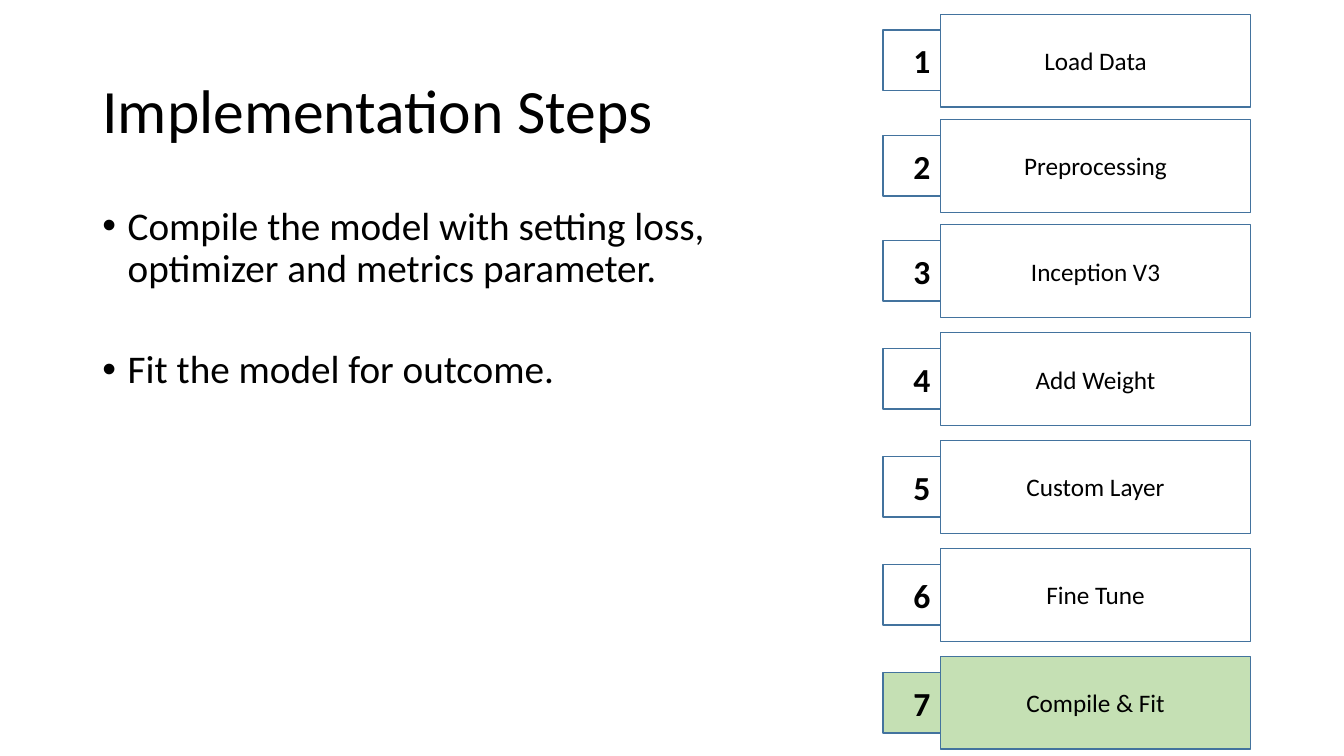
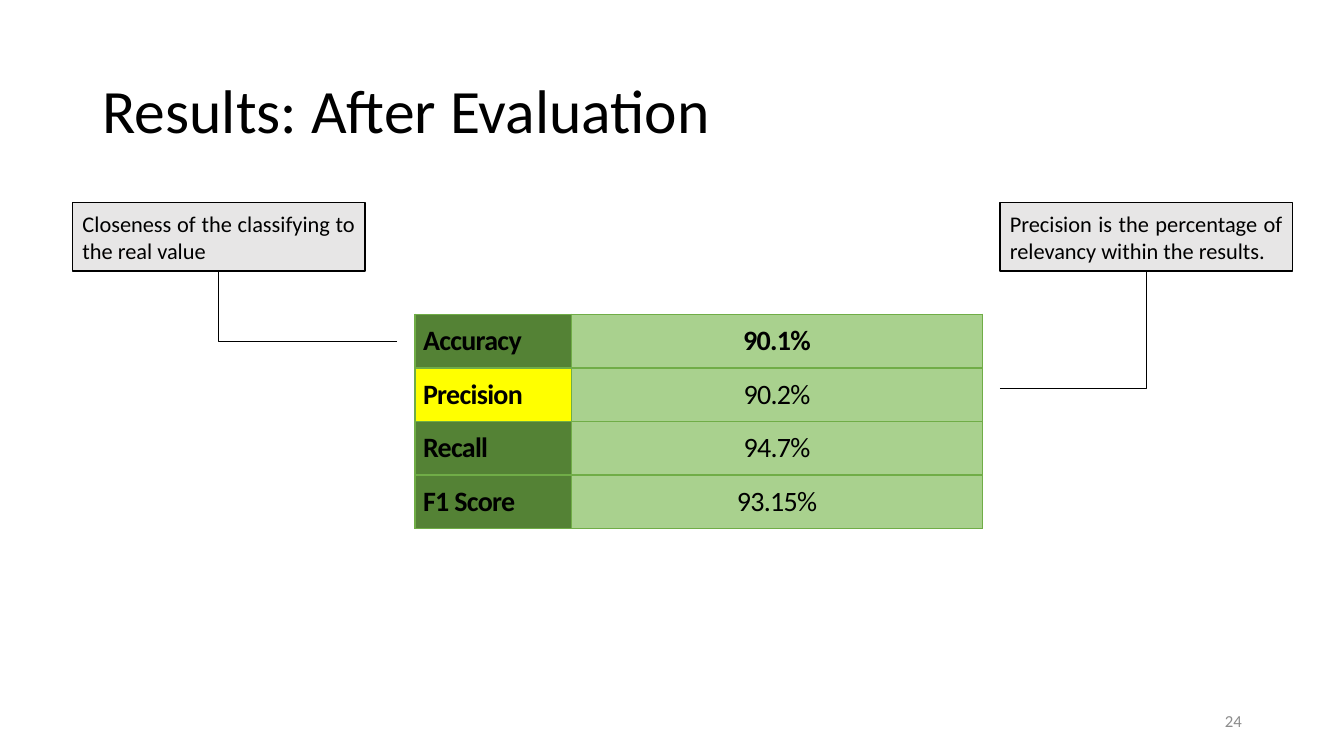
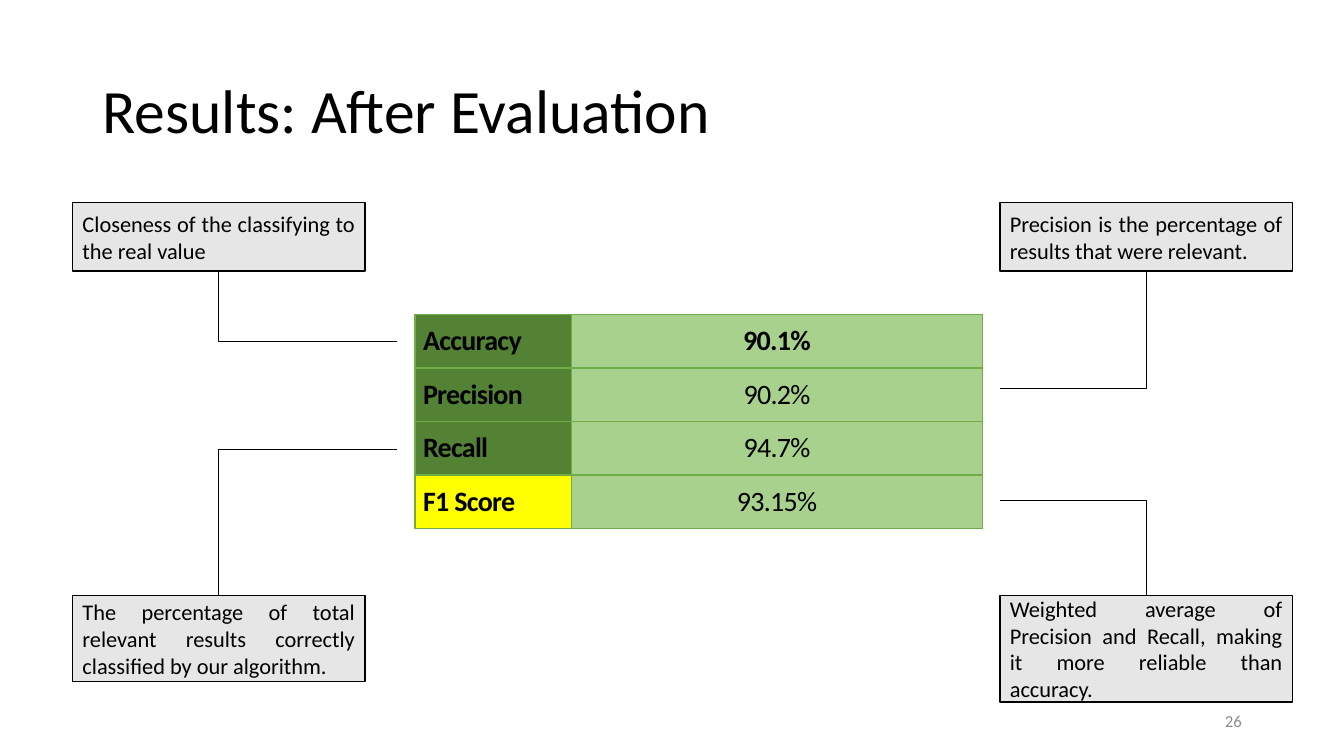
from dataclasses import dataclass
from itertools import accumulate

from lxml import etree
from pptx import Presentation
from pptx.dml.color import RGBColor
from pptx.enum.shapes import MSO_CONNECTOR, MSO_SHAPE
from pptx.enum.text import MSO_ANCHOR, MSO_AUTO_SIZE, PP_ALIGN
from pptx.oxml.ns import qn
from pptx.util import Cm, Pt

LEFT, CENTER, RIGHT, JUSTIFY = PP_ALIGN.LEFT, PP_ALIGN.CENTER, PP_ALIGN.RIGHT, PP_ALIGN.JUSTIFY
TOP, MIDDLE = MSO_ANCHOR.TOP, MSO_ANCHOR.MIDDLE
NO_FIT = MSO_AUTO_SIZE.NONE
RECTANGLE = MSO_SHAPE.RECTANGLE
ELBOW = MSO_CONNECTOR.ELBOW
TITLE_ONLY = 5
SITE_TOP, SITE_BOTTOM = 0, 2


@dataclass(frozen=True)
class Theme:
    font: str = "Calibri"
    black: str = "000000"
    white: str = "FFFFFF"
    step_line: str = "43739E"
    step_active: str = "C5E0B4"
    callout: str = "E7E6E6"
    label: str = "548235"
    value: str = "A9D18E"
    highlight: str = "FFFF00"
    grid: str = "70AD47"
    page_number: str = "8C8C8C"
    title_size: int = 44
    body_size: int = 28
    number_size: int = 24
    metric_size: int = 20
    label_size: int = 18
    callout_size: int = 16
    footer_size: int = 12


THEME = Theme()


# Content records, lengths in centimetres
@dataclass(frozen=True)
class Area:
    left: float
    top: float
    width: float
    height: float

    def lengths(self) -> list:
        return [Cm(value) for value in (self.left, self.top, self.width, self.height)]


@dataclass(frozen=True)
class Callout:
    text: str
    area: Area
    tie_left: float
    tie_top: float


@dataclass(frozen=True)
class Results:
    number: str
    highlighted: str
    callouts: list[Callout]


TITLE_AREA = Area(2.33, 1.02, 29.21, 3.68)
BODY_AREA = Area(2.33, 5.08, 17.1, 12.09)
NUMBER_AREA = Area(23.93, 17.65, 7.62, 1.02)
TABLE_AREA = Area(10.46, 7.92, 14.3, 5.4)
LABEL_WIDTH = 3.94

BODY = ["Compile the model with setting loss, optimizer and metrics parameter.",
        "Fit the model for outcome."]
BODY_SPACING = [10, 42]
STEPS = ["Load Data", "Preprocessing", "Inception V3", "Add Weight",
         "Custom Layer", "Fine Tune", "Compile & Fit"]
ACTIVE_STEP = "Compile & Fit"
STEP_TOPS = list(accumulate([0.36] + [2.65] * 2 + [2.72] * 4))
METRICS = [("Accuracy", "90.1%"), ("Precision", "90.2%"),
           ("Recall", "94.7%"), ("F1 Score", "93.15%")]


def callout_left(text: str, top: float, height: float, tie_top: float) -> Callout:
    return Callout(text, Area(1.83, top, 7.37, height), 10.01, tie_top)


def callout_right(text: str, top: float, height: float, tie_top: float) -> Callout:
    return Callout(text, Area(25.2, top, 7.37, height), 25.2, tie_top)


ACCURACY = callout_left("Closeness of the classifying to the real value", 5.1, 1.73, 8.61)
RESULTS = [
    Results("24", "Precision", [
        ACCURACY,
        callout_right("Precision is the percentage of relevancy within the results.",
                      5.1, 1.73, 9.8),
    ]),
    Results("26", "F1 Score", [
        ACCURACY,
        callout_right("Precision is the percentage of results that were relevant.",
                      5.1, 1.73, 9.8),
        callout_left("The percentage of total relevant results correctly classified "
                     "by our algorithm.", 15, 2.18, 11.33),
        callout_right("Weighted average of Precision and Recall, making it more reliable "
                      "than accuracy.", 15, 2.69, 12.6),
    ]),
]


# Shared formatting
def set_values(target, values: dict) -> None:
    for name, value in values.items():
        setattr(target, name, value)


def write(para, text: str, size: int, color: str = THEME.black,
          bold: bool = False, align=LEFT):
    para.alignment = align
    span = para.add_run()
    span.text = text
    set_values(span.font, {"name": THEME.font, "size": Pt(size), "bold": bold})
    span.font.color.rgb = RGBColor.from_string(color)
    return span


def set_frame(frame, anchor) -> None:
    set_values(frame, {"word_wrap": True, "auto_size": NO_FIT, "vertical_anchor": anchor})


def add_page(deck, title: str):
    page = deck.slides.add_slide(deck.slide_layouts[TITLE_ONLY])
    heading = page.shapes.title
    set_values(heading, dict(zip(("left", "top", "width", "height"), TITLE_AREA.lengths())))
    set_frame(heading.text_frame, MIDDLE)
    para = heading.text_frame.paragraphs[0]
    para.line_spacing = 0.9
    write(para, title, THEME.title_size)
    return page


def add_box(page, area: Area, text: str, size: int, fill: str, line: str,
            align=CENTER, bold: bool = False):
    box = page.shapes.add_shape(RECTANGLE, *area.lengths())
    box.shadow.inherit = False
    box.fill.solid()
    box.fill.fore_color.rgb = RGBColor.from_string(fill)
    box.line.color.rgb = RGBColor.from_string(line)
    box.line.width = Pt(1)
    set_frame(box.text_frame, MIDDLE)
    write(box.text_frame.paragraphs[0], text, size, bold=bold, align=align)
    return box


# Implementation steps
def add_bullets(page) -> None:
    box = page.shapes.add_textbox(*BODY_AREA.lengths())
    frame = box.text_frame
    set_frame(frame, TOP)
    for index, (text, spacing) in enumerate(zip(BODY, BODY_SPACING)):
        para = frame.add_paragraph() if index else frame.paragraphs[0]
        set_values(para, {"line_spacing": 0.9, "space_before": Pt(spacing)})
        write(para, text, THEME.body_size)
        properties = para._p.get_or_add_pPr()
        properties.set("marL", str(Cm(0.64)))
        properties.set("indent", str(-Cm(0.64)))
        etree.SubElement(properties, qn("a:buFont"), typeface="Arial")
        etree.SubElement(properties, qn("a:buChar"), char="•")


def add_steps(page) -> None:
    for number, (text, top) in enumerate(zip(STEPS, STEP_TOPS), start=1):
        fill = THEME.step_active if text == ACTIVE_STEP else THEME.white
        add_box(page, Area(22.25, top + 0.4, 1.96, 1.53), str(number),
                THEME.number_size, fill, THEME.step_line, bold=True)
        add_box(page, Area(23.7, top, 7.82, 2.34), text,
                THEME.label_size, fill, THEME.step_line)


# Results
def set_borders(cell, widths: dict[str, float]) -> None:
    properties = cell._tc.get_or_add_tcPr()
    for index, (side, width) in enumerate(widths.items()):
        line = etree.Element(qn(f"a:{side}"), w=str(Pt(width)))
        solid = etree.SubElement(line, qn("a:solidFill"))
        etree.SubElement(solid, qn("a:srgbClr"), val=THEME.grid)
        properties.insert(index, line)


def add_metrics(page, highlighted: str) -> None:
    table = page.shapes.add_table(len(METRICS), 2, *TABLE_AREA.lengths()).table
    set_values(table, {"first_row": False, "horz_banding": False})
    table.columns[0].width = Cm(LABEL_WIDTH)
    table.columns[1].width = Cm(TABLE_AREA.width - LABEL_WIDTH)
    for row, metric in enumerate(METRICS):
        label_fill = THEME.highlight if metric[0] == highlighted else THEME.label
        for column, (text, fill, align) in enumerate(
                zip(metric, (label_fill, THEME.value), (LEFT, CENTER))):
            cell = table.cell(row, column)
            set_values(cell, {"margin_left": Cm(0.2), "margin_right": Cm(0.2),
                              "margin_top": 0, "margin_bottom": 0,
                              "vertical_anchor": MIDDLE})
            cell.fill.solid()
            cell.fill.fore_color.rgb = RGBColor.from_string(fill)
            span = write(cell.text_frame.paragraphs[0], text, THEME.metric_size,
                         bold=row == 0 or column == 0, align=align)
            span.font._element.set("spc", "-50")
            set_borders(cell, {"lnL": 1, "lnR": 1, "lnT": 2 if row == 1 else 1,
                               "lnB": 2 if row == 0 else 1})


def add_callout(page, callout: Callout) -> None:
    area = callout.area
    box = add_box(page, area, callout.text, THEME.callout_size,
                  THEME.callout, THEME.black, align=JUSTIFY)
    above = area.top < callout.tie_top
    edge = area.top + area.height if above else area.top
    tie = page.shapes.add_connector(ELBOW, Cm(callout.tie_left), Cm(callout.tie_top),
                                    Cm(area.left + area.width / 2), Cm(edge))
    tie.end_connect(box, SITE_BOTTOM if above else SITE_TOP)
    tie.line.color.rgb = RGBColor.from_string(THEME.black)
    tie.line.width = Pt(0.5)
    # A single corner: sideways from the table, then up or down to the box
    properties = tie._element.spPr
    properties.find(qn("a:prstGeom")).set("prst", "bentConnector2")
    etree.SubElement(properties, qn("a:effectLst"))


def add_page_number(page, number: str) -> None:
    box = page.shapes.add_textbox(*NUMBER_AREA.lengths())
    set_frame(box.text_frame, MIDDLE)
    write(box.text_frame.paragraphs[0], number, THEME.footer_size,
          THEME.page_number, align=RIGHT)


def main() -> None:
    deck = Presentation()
    set_values(deck, {"slide_width": Cm(33.87), "slide_height": Cm(19.05)})

    page = add_page(deck, "Implementation Steps")
    add_bullets(page)
    add_steps(page)

    for results in RESULTS:
        page = add_page(deck, "Results: After Evaluation")
        add_metrics(page, results.highlighted)
        for callout in results.callouts:
            add_callout(page, callout)
        add_page_number(page, results.number)

    deck.save("out.pptx")


if __name__ == "__main__":
    main()
